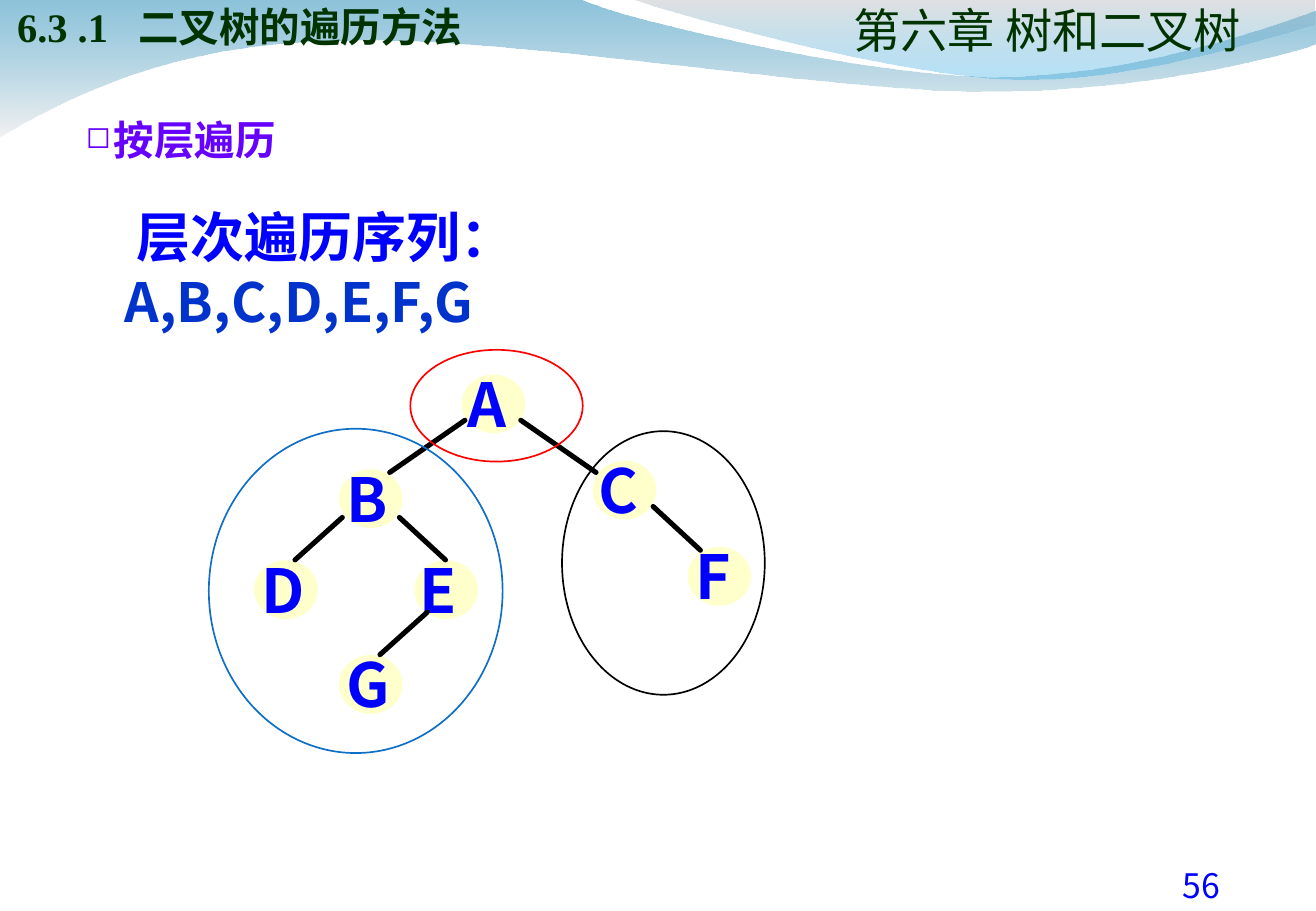
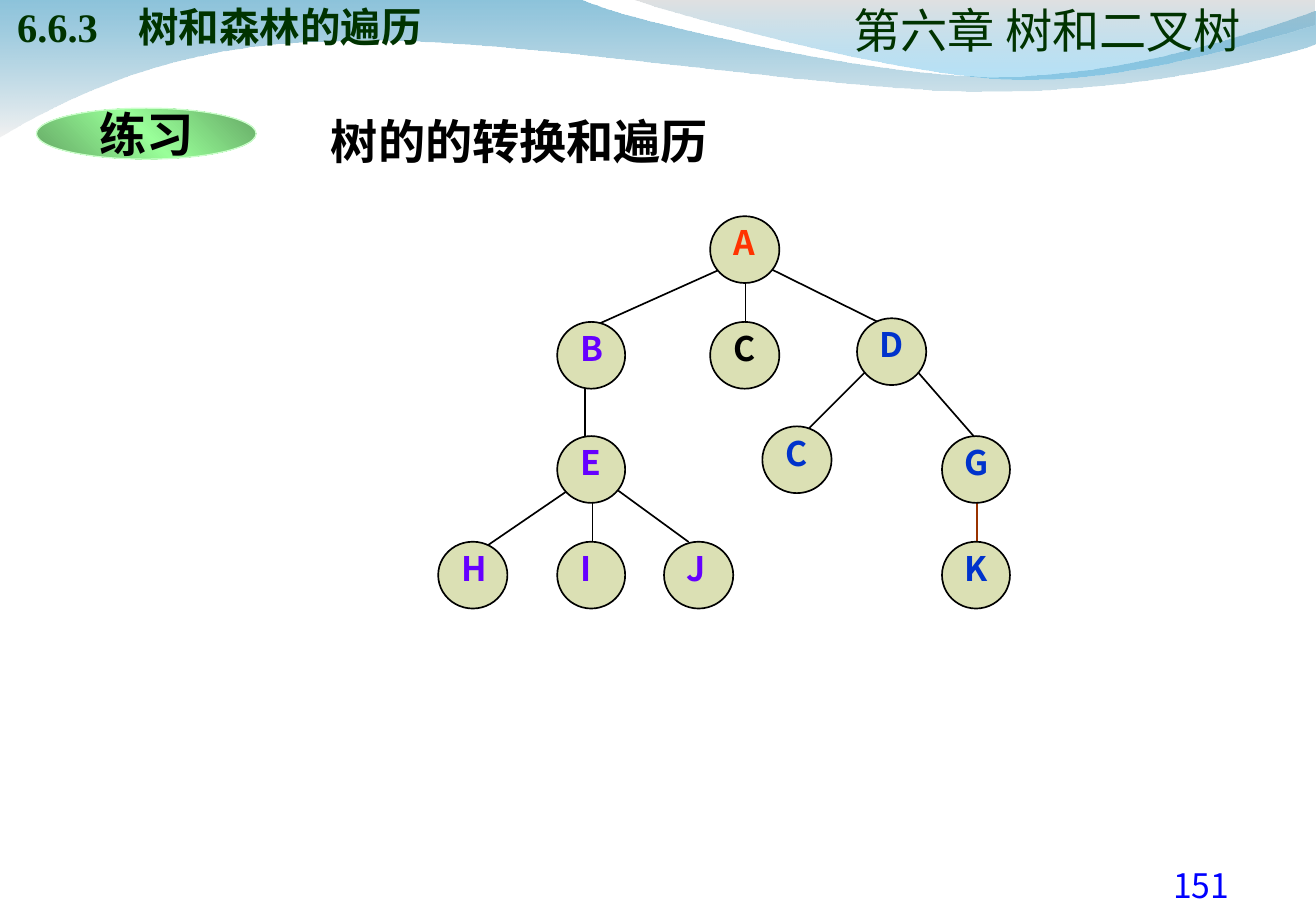
"""Build two lecture slides on traversing binary trees and general trees."""
import lxml.etree
import pptx
import pptx.dml.color
import pptx.enum.shapes
import pptx.enum.text
import pptx.oxml.ns
import pptx.util

RGB = pptx.dml.color.RGBColor
ALIGN = pptx.enum.text.PP_ALIGN
ANCHOR = pptx.enum.text.MSO_ANCHOR
qn = pptx.oxml.ns.qn
sub = lxml.etree.SubElement

PX = 9144
SANS, SERIF = "Noto Sans CJK SC", "Times New Roman"
BLACK = RGB(0x00, 0x00, 0x00)
RED = RGB(0xFF, 0x00, 0x00)
ORANGE = RGB(0xFF, 0x33, 0x00)
BROWN = RGB(0x99, 0x33, 0x00)
BLUE = RGB(0x00, 0x00, 0xFF)
ROYAL = RGB(0x00, 0x33, 0xCC)
AZURE = RGB(0x0F, 0x6F, 0xC6)
VIOLET = RGB(0x66, 0x00, 0xFF)
FOREST = RGB(0x00, 0x33, 0x00)
CREAM = RGB(0xFF, 0xFF, 0xCC)
OLIVE = RGB(0xDB, 0xE0, 0xB4)
MINT = RGB(0xCC, 0xFF, 0xCC)
LIME = RGB(0x99, 0xFF, 0x99)
GREEN = RGB(0x65, 0xA8, 0x65)
TEAL = RGB(0x00, 0x79, 0xAF)
SKY = RGB(0x00, 0x9B, 0xE5)
SILVER = RGB(0xBC, 0xBC, 0xBC)
MIST = RGB(0xE7, 0xE7, 0xE7)

BIG_WAVE = [
    [(0, -1)], [(477, -1)],
    [(515, 17), (719, 63), (822, 63)], [(924, 63), (1038, 26), (1083, 9)],
    [(1085, 36)],
    [(1065, 44), (942, 76), (808, 75)], [(674, 75), (414, 28), (279, 34)],
    [(140, 35), (50, 83), (-1, 113)],
]
SMALL_WAVE = [
    [(519, -1)],
    [(552, 11), (739, 62), (833, 65)], [(927, 69), (1042, 32), (1083, 21)],
    [(1083, 0)],
]


class Deck:
    def __init__(self):
        self.prs = pptx.Presentation()
        self.prs.slide_width, self.prs.slide_height = 1084 * PX, 750 * PX
        self.s = None

    def slide(self, number, title, page):
        self.s = self.prs.slides.add_slide(self.prs.slide_layouts[6])
        self.wave(BIG_WAVE, [(0, TEAL, 45), (100, MIST, 55)])
        self.wave(SMALL_WAVE, [(0, SILVER, 45), (100, SKY, 30)])
        self.text((898, 707, 183, 51), page, 20, BLUE, bold=False, align=ALIGN.CENTER, grow=True)
        self.heading((698, -31, 329, 79), "第六章 树和二叉树", 28, False, ALIGN.CENTER)
        pPr = self.heading((14, -42, 975, 84), f"{number}\t{title}", 24, True, ALIGN.LEFT)
        tabs = lxml.etree.Element(qn("a:tabLst"))
        sub(tabs, qn("a:tab"), pos=str(92 * PX), algn="l")
        pPr.find(qn("a:defRPr")).addprevious(tabs)

    def heading(self, box, text, size, bold, align):
        p = self.text(box, text, size, FOREST, font=SERIF, bold=bold, align=align,
                      anchor=ANCHOR.BOTTOM, insets=(0, 5, 0, 0))
        return p._p.pPr

    def style(self, p, size, color, font, bold, align):
        p.alignment = align
        f = p.font
        f.size, f.bold, f.name = pptx.util.Pt(size), bold, font
        f.color.rgb = color
        sub(p._p.pPr.find(qn("a:defRPr")), qn("a:ea"), typeface=SANS)

    def text(self, box, text, size, color, font=SANS, bold=True, align=ALIGN.LEFT,
             anchor=ANCHOR.TOP, insets=(10, 5, 10, 5), wrap=True, grow=False,
             margin=0, indent=0, bullet=None):
        tf = self.s.shapes.add_textbox(*(v * PX for v in box)).text_frame
        tf.word_wrap, tf.vertical_anchor = wrap, anchor
        if grow:
            tf.auto_size = pptx.enum.text.MSO_AUTO_SIZE.SHAPE_TO_FIT_TEXT
        tf.margin_left, tf.margin_top, tf.margin_right, tf.margin_bottom = (v * PX for v in insets)
        p = tf.paragraphs[0]
        p.text = text
        pPr = p._p.get_or_add_pPr()
        pPr.set("marL", str(margin * PX))
        pPr.set("indent", str(indent * PX))
        if bullet:
            sub(sub(pPr, qn("a:buClr")), qn("a:srgbClr"), val=str(color))
            sub(pPr, qn("a:buSzPct"), val="75000")
            sub(pPr, qn("a:buChar"), char=bullet)
        self.style(p, size, color, font, bold, align)
        return p

    def gradient(self, sp, stops, angle):
        sp.fill.gradient()
        sp.fill.gradient_angle = angle
        stop_list = sp.element.spPr.find(qn("a:gradFill")).find(qn("a:gsLst"))
        for old in list(stop_list):
            stop_list.remove(old)
        for pos, color, opacity in stops:
            gs = sub(stop_list, qn("a:gs"), pos=str(pos * 1000))
            clr = sub(gs, qn("a:srgbClr"), val=str(color))
            sub(clr, qn("a:alpha"), val=str(opacity * 1000))

    def wave(self, segments, stops):
        start, *rest = [point for seg in segments for point in seg]
        builder = self.s.shapes.build_freeform(*start, scale=PX)
        builder.add_line_segments(rest, close=True)
        sp = builder.convert_to_shape()
        sp.shadow.inherit = False
        sp.line.fill.background()
        lines = list(sp.element.spPr.iter(qn("a:lnTo")))
        for seg in segments[1:]:
            group, lines = lines[:len(seg)], lines[len(seg):]
            if len(seg) == 3:
                curve = lxml.etree.Element(qn("a:cubicBezTo"))
                group[0].addprevious(curve)
                for line in group:
                    curve.append(line[0])
                    line.getparent().remove(line)
        self.gradient(sp, stops, 270)

    def oval(self, box, line, width=1, fill=None):
        sp = self.s.shapes.add_shape(pptx.enum.shapes.MSO_SHAPE.OVAL, *(v * PX for v in box))
        sp.shadow.inherit = False
        sp.line.color.rgb, sp.line.width = line, pptx.util.Pt(width)
        if fill is None:
            sp.fill.background()
        else:
            sp.fill.solid()
            sp.fill.fore_color.rgb = fill
        return sp

    def badge(self, box, text):
        sp = self.oval(box, MINT, 0.75)
        self.gradient(sp, [(0, GREEN, 100), (50, LIME, 100), (100, GREEN, 100)], 45)
        tf = sp.text_frame
        tf.word_wrap, tf.vertical_anchor = False, ANCHOR.MIDDLE
        p = tf.paragraphs[0]
        p.text = text
        self.style(p, 28, BLACK, SERIF, True, ALIGN.CENTER)

    def edge(self, x1, y1, x2, y2, color=BLACK, width=1):
        c = self.s.shapes.add_connector(pptx.enum.shapes.MSO_CONNECTOR.STRAIGHT,
                                        x1 * PX, y1 * PX, x2 * PX, y2 * PX)
        c.line.color.rgb, c.line.width = color, pptx.util.Pt(width)
        spPr = c.element.spPr
        spPr.find(qn("a:ln")).set("cap", "rnd")
        sub(spPr, qn("a:effectLst"))

    def binary_node(self, letter, x, y, indent):
        self.oval((x, y, 51, 47), CREAM, fill=CREAM)
        self.text((x - 14, y - 12, 93, 70), letter, 36, BLUE, grow=True, indent=indent)

    def tree_node(self, letter, x, y, color, width=57):
        self.oval((x, y, width, 55), BLACK, fill=OLIVE)
        self.text((x + 9, y, 57, 44), letter, 20, color, grow=True)


def level_order(deck):
    deck.slide("6.3 .1", "二叉树的遍历方法", "56")
    deck.text((61, 52, 293, 125), "按层遍历", 24, VIOLET, anchor=ANCHOR.MIDDLE,
              margin=23, indent=-23, bullet="◻")
    for node in [("A", 381, 309, 8), ("F", 567, 451, 10), ("G", 280, 540, 10),
                 ("E", 342, 462, 8), ("D", 210, 462, 10), ("C", 489, 380, 8),
                 ("B", 280, 387, 10)]:
        deck.binary_node(*node)
    for ends in [(383, 346, 321, 389), (429, 346, 491, 389), (329, 426, 367, 461),
                 (352, 504, 313, 539), (282, 426, 243, 461), (538, 417, 577, 453)]:
        deck.edge(*ends, width=3)
    deck.oval((172, 353, 242, 267), AZURE)
    deck.oval((463, 355, 167, 217), BLACK)
    deck.oval((338, 288, 142, 92), RED)
    p = deck.text((93, 163, 559, 117), "层次遍历序列： ", 32, BLUE, grow=True, indent=10)
    r = p.add_run()
    r.text = "A,B,C,D,E,F,G"
    r.font.color.rgb = ROYAL


def tree_exercise(deck):
    deck.slide("6.6.3", "树和森林的遍历", "151")
    deck.text((235, 84, 386, 63), "树的的转换和遍历", 28, BLACK, align=ALIGN.CENTER,
              anchor=ANCHOR.MIDDLE, wrap=False)
    deck.badge((30, 89, 181, 42), "练习")
    for ends in [(754, 304, 802, 359), (715, 304, 660, 359), (614, 232, 614, 269),
                 (595, 221, 479, 273), (634, 221, 723, 265), (488, 413, 488, 450),
                 (469, 403, 390, 457), (508, 403, 567, 446), (482, 320, 482, 359)]:
        deck.edge(*ends)
    deck.edge(805, 413, 805, 450, BROWN)
    for node in [("A", 585, 178, ORANGE), ("C", 585, 265, BLACK), ("B", 459, 265, VIOLET, 56),
                 ("D", 706, 262, ROYAL), ("E", 459, 359, VIOLET, 56),
                 ("I", 459, 446, VIOLET, 56), ("H", 361, 446, VIOLET),
                 ("J", 547, 446, VIOLET), ("C", 628, 351, ROYAL),
                 ("G", 776, 359, ROYAL, 56), ("K", 776, 446, ROYAL, 56)]:
        deck.tree_node(*node)


def main():
    deck = Deck()
    level_order(deck)
    tree_exercise(deck)
    deck.prs.save("out.pptx")


if __name__ == "__main__":
    main()
